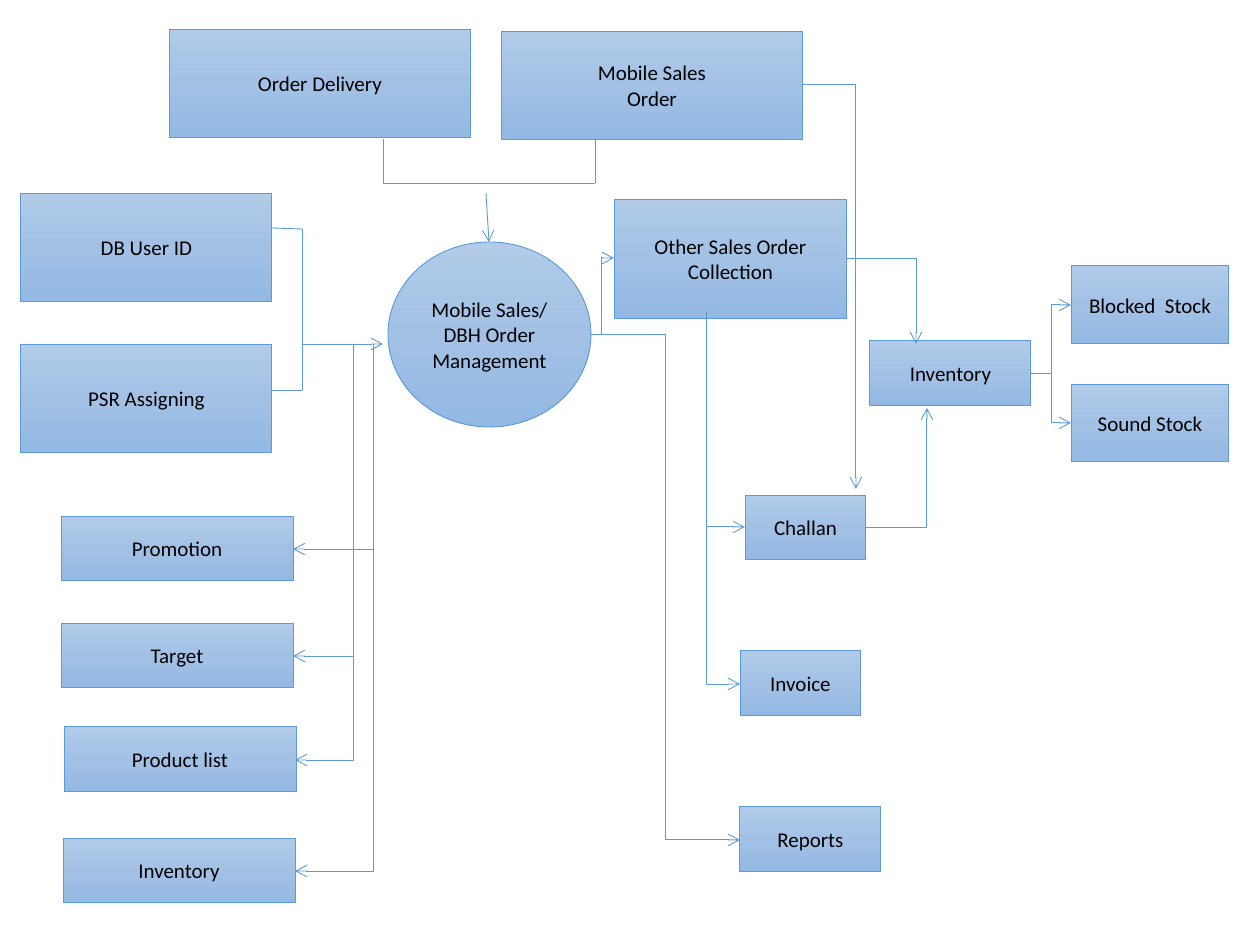
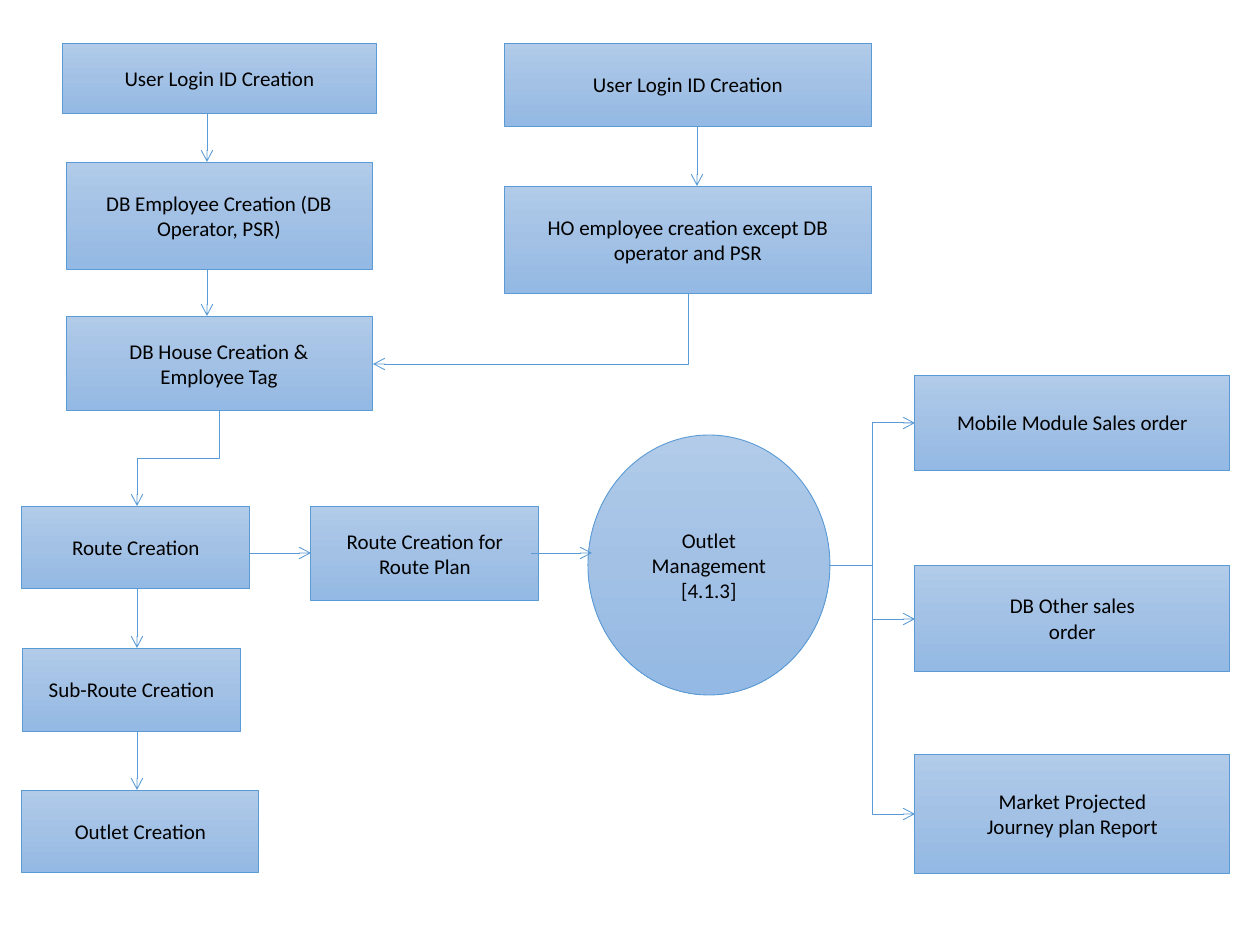
import copy
import dataclasses

import lxml.etree
import pptx
import pptx.dml.color
import pptx.enum.shapes
import pptx.enum.text
import pptx.oxml.ns
import pptx.util

SCALE = pptx.util.Inches(1) / 126
qn = pptx.oxml.ns.qn
SHAPE = pptx.enum.shapes.MSO_SHAPE
CONNECTOR = pptx.enum.shapes.MSO_CONNECTOR


@dataclasses.dataclass(frozen=True)
class Theme:
    font: str = "Calibri"
    text_size: float = 12
    line_width: float = 0.5
    text: str = "000000"
    line: str = "5B9BD5"
    gradient: tuple = ((0, "B1CBE9"), (0.5, "A3C1E5"), (1, "93B9E4"))


THEME = Theme()


def px(length):
    return pptx.util.Emu(round(length * SCALE))


def rgb(code):
    return pptx.dml.color.RGBColor.from_string(code)


def style_line(line):
    line.color.rgb = rgb(THEME.line)
    line.width = pptx.util.Pt(THEME.line_width)


def fill_gradient(shape):
    shape.fill.gradient()
    shape.fill.gradient_angle = 270
    stops = shape._element.spPr.find(".//" + qn("a:gsLst"))
    stops.insert(1, copy.deepcopy(stops[0]))
    for stop, (position, code) in zip(shape.fill.gradient_stops, THEME.gradient):
        stop.position = position
        stop.color.rgb = rgb(code)


def write_text(frame, text, size=THEME.text_size, color=THEME.text,
               align=pptx.enum.text.PP_ALIGN.CENTER):
    frame.word_wrap = True
    frame.vertical_anchor = pptx.enum.text.MSO_ANCHOR.MIDDLE
    for number, words in enumerate(text.split("\n")):
        para = frame.add_paragraph() if number else frame.paragraphs[0]
        para.alignment = align
        span = para.add_run()
        span.text = words
        span.font.name = THEME.font
        span.font.size = pptx.util.Pt(size)
        span.font.color.rgb = rgb(color)


def add_node(diagram, text, left, top, width, height, kind=SHAPE.RECTANGLE):
    box = diagram.shapes.add_shape(kind, px(left), px(top), px(width), px(height))
    box.shadow.inherit = False
    fill_gradient(box)
    style_line(box.line)
    write_text(box.text_frame, text)


def add_link(diagram, start, end, kind=CONNECTOR.STRAIGHT, arrow=True):
    link = diagram.shapes.add_connector(kind, *map(px, start + end))
    style_line(link.line)
    properties = link._element.spPr
    if arrow:
        lxml.etree.SubElement(properties.find(qn("a:ln")), qn("a:tailEnd"), type="arrow")
    lxml.etree.SubElement(properties, qn("a:effectLst"))
    return link


def turn_downward(link, start, end):
    across, down = end[0] - start[0], end[1] - start[1]
    width, height = abs(down), abs(across)
    link.left = px((start[0] + end[0] - width) / 2)
    link.top = px((start[1] + end[1] - height) / 2)
    link.width, link.height = px(width), px(height)
    frame = link._element.spPr.find(qn("a:xfrm"))
    for flip in ("flipH", "flipV"):
        frame.attrib.pop(flip, None)
    frame.set("rot", str((270 if across > 0 else 90) * 60000))
    if across > 0:
        frame.set("flipH", "1")


def add_elbows(diagram, start, ends, bends=2, downward=False):
    for end in ends:
        link = add_link(diagram, start, end, CONNECTOR.ELBOW)
        if bends == 1:
            link._element.spPr.find(qn("a:prstGeom")).set("prst", "bentConnector2")
        if downward:
            turn_downward(link, start, end)


def add_diagram(deck):
    page = deck.slides.add_slide(deck.slide_layouts[6])
    return page.shapes.add_group_shape()


def build_order_flow(deck):
    diagram = add_diagram(deck)
    add_node(diagram, "Order Delivery", 169, 29, 302, 108)
    add_node(diagram, "Mobile Sales\nOrder", 501, 31, 302, 108)
    add_node(diagram, "Mobile Sales/ DBH Order Management", 388, 242, 203, 185, SHAPE.OVAL)
    for text, top in (("DB User ID", 193), ("PSR Assigning", 344)):
        add_node(diagram, text, 21, top, 251, 108)
    for text, left, top in (("Promotion", 61, 516), ("Target", 61, 623),
                            ("Product list", 64, 727), ("Inventory", 63, 838)):
        add_node(diagram, text, left, top, 232, 65)
    add_node(diagram, "Other Sales Order Collection", 614, 199, 233, 119)
    for text, left, top, width in (("Challan", 745, 495, 121), ("Invoice", 740, 651, 121),
                                   ("Reports", 740, 807, 141), ("Inventory", 870, 341, 161)):
        add_node(diagram, text, left, top, width, 65)
    for text, top in (("Blocked  Stock", 266), ("Sound Stock", 384)):
        add_node(diagram, text, 1071, top, 158, 78)

    for start, end in (((383, 183), (595, 183)), ((383, 139), (383, 183)),
                       ((595, 139), (595, 183)), ((302, 229), (302, 390)),
                       ((302, 229), (272, 228)), ((302, 390), (272, 390))):
        add_link(diagram, start, end, arrow=False)
    add_link(diagram, (486, 193), (489, 242))
    add_link(diagram, (302, 344), (383, 344))

    add_elbows(diagram, (590, 335), [(614, 258), (740, 840)])
    add_elbows(diagram, (1031, 374), [(1071, 305), (1071, 423)])
    for start, end in (((866, 527), (927, 408)), ((847, 258), (916, 344)),
                       ((803, 85), (856, 489))):
        add_elbows(diagram, start, [end], bends=1)
    for start, ends in (((706, 311), [(745, 527), (740, 684)]),
                        ((353, 344), [(293, 656), (295, 760)]),
                        ((373, 344), [(293, 549), (295, 871)])):
        add_elbows(diagram, start, ends, bends=1, downward=True)


def build_outlet_flow(deck):
    diagram = add_diagram(deck)
    add_node(diagram, "Outlet Management\n[4.1.3]", 588, 435, 242, 260, SHAPE.OVAL)
    add_node(diagram, "User Login ID Creation", 62, 43, 315, 71)
    add_node(diagram, "DB Employee Creation (DB\nOperator, PSR)", 66, 162, 306, 107)
    add_node(diagram, "DB House Creation &\nEmployee Tag", 66, 316, 306, 95)
    add_node(diagram, "User Login ID Creation", 504, 43, 368, 83)
    add_node(diagram, "HO employee creation except DB operator and PSR", 504, 186, 368, 107)
    for row, (text, width) in enumerate((("Route Creation", 228), ("Sub-Route Creation", 219),
                                         ("Outlet Creation", 237))):
        add_node(diagram, text, 22, 506 + 142 * row, width, 83)
    add_node(diagram, "Route Creation for\nRoute Plan", 311, 506, 228, 95)
    for text, top, height in (("Mobile Module Sales order", 375, 95),
                              ("DB Other sales\norder", 565, 106),
                              ("Market Projected\nJourney plan Report", 754, 119)):
        add_node(diagram, text, 915, top, 315, height)

    for x, top, bottom in ((207, 114, 162), (207, 269, 316), (137, 589, 648),
                           (137, 731, 790), (697, 126, 186)):
        add_link(diagram, (x, top), (x, bottom))
    for left in (250, 531):
        add_link(diagram, (left, 553), (left + 61, 553))

    add_elbows(diagram, (829, 565), [(915, y) for y in (423, 619, 814)])
    add_elbows(diagram, (219, 411), [(137, 506)], downward=True)
    add_elbows(diagram, (688, 293), [(373, 364)], bends=1, downward=True)


def main():
    deck = pptx.Presentation()
    deck.slide_width, deck.slide_height = px(1260), px(945)
    build_order_flow(deck)
    build_outlet_flow(deck)
    deck.save("out.pptx")


main()
